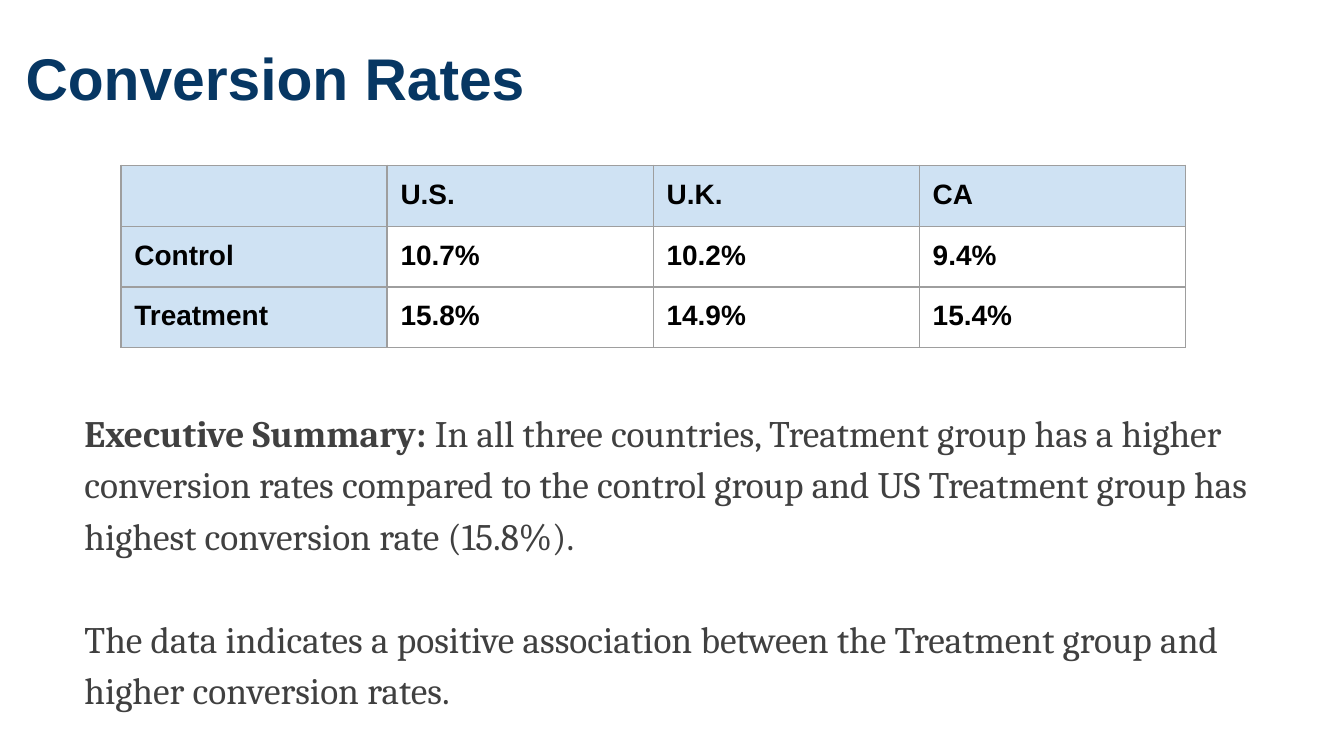
from lxml.etree import SubElement
from pptx import Presentation
from pptx.dml.color import RGBColor
from pptx.enum.text import MSO_ANCHOR, MSO_AUTO_SIZE, PP_ALIGN
from pptx.oxml.ns import qn
from pptx.util import Inches, Pt

TITLE = "Conversion Rates"
RATES = [
    ("", "U.S.", "U.K.", "CA"),
    ("Control", "10.7%", "10.2%", "9.4%"),
    ("Treatment", "15.8%", "14.9%", "15.4%"),
]
SUMMARY = [  # paragraphs of (text, bold) runs
    [("Executive Summary: ", True),
     ("In all three countries, Treatment group has a higher conversion rates "
      "compared to the control group and US Treatment group has highest "
      "conversion rate (15.8%).", False)],
    [("The data indicates a positive association between the Treatment group "
      "and higher conversion rates.", False)],
]

THEME = {
    "title": {"font": "Arial", "size": 31.5, "color": "073763"},
    "table": {"font": "Arial", "size": 15, "color": "000000"},
    "body": {"font": "Cambria", "size": 20, "color": "404040"},
    "header_fill": "CFE2F3",
    "cell_fill": "FFFFFF",
    "border": "9E9E9E",
    "border_width": 0.75,
    "paragraph_gap": 27.6,
}
SLIDE_W = 10
SLIDE_H = SLIDE_W * 9 / 16
PAD = Inches(0.1)
COL_W, ROW_H = 1.98, 0.45


def style_run(r, role, bold=True):
    style = THEME[role]
    r.font.name = style["font"]
    r.font.size = Pt(style["size"])
    r.font.bold = bold
    r.font.color.rgb = RGBColor.from_string(style["color"])


def set_margins(box):
    box.margin_left = box.margin_right = PAD
    box.margin_top = box.margin_bottom = PAD


def set_frame(tf):
    tf.word_wrap = True
    tf.auto_size = MSO_AUTO_SIZE.NONE
    tf.vertical_anchor = MSO_ANCHOR.TOP
    set_margins(tf)


def set_borders(cell):
    tcPr = cell._tc.get_or_add_tcPr()
    for index, side in enumerate(("a:lnL", "a:lnR", "a:lnT", "a:lnB")):
        ln = SubElement(tcPr, qn(side), w=str(Pt(THEME["border_width"])))
        fill = SubElement(ln, qn("a:solidFill"))
        SubElement(fill, qn("a:srgbClr"), val=THEME["border"])
        tcPr.insert(index, ln)  # borders come before the cell fill


def add_title(slide):
    sp = slide.shapes.title
    sp.left, sp.top = Inches(0.09), Inches(0.21)
    sp.width, sp.height = Inches(10), Inches(0.73)
    tf = sp.text_frame
    tf.text = TITLE
    set_frame(tf)
    p = tf.paragraphs[0]
    p.alignment = PP_ALIGN.LEFT
    style_run(p.runs[0], "title")


def add_rates(slide):
    n_rows, n_cols = len(RATES), len(RATES[0])
    table = slide.shapes.add_table(
        n_rows, n_cols, Inches(0.9), Inches(1.23),
        Inches(COL_W * n_cols), Inches(ROW_H * n_rows)).table
    for i, row in enumerate(RATES):
        for j, text in enumerate(row):
            cell = table.cell(i, j)
            set_margins(cell)
            is_header = i == 0 or j == 0
            cell.fill.solid()
            cell.fill.fore_color.rgb = RGBColor.from_string(
                THEME["header_fill" if is_header else "cell_fill"])
            set_borders(cell)
            p = cell.text_frame.paragraphs[0]
            if text:
                p.text = text
                style_run(p.runs[0], "table")
            else:  # keep the empty cell from stretching its row
                end = p._p.get_or_add_endParaRPr()
                end.set("sz", str(THEME["table"]["size"] * 100))


def add_summary(slide):
    tf = slide.shapes.add_textbox(
        Inches(0.53), Inches(2.9), Inches(8.98), Inches(2.52)).text_frame
    set_frame(tf)
    for i, runs in enumerate(SUMMARY):
        p = tf.add_paragraph() if i else tf.paragraphs[0]
        p.line_spacing = 1.15
        if i:
            p.space_before = Pt(THEME["paragraph_gap"])
        for text, bold in runs:
            r = p.add_run()
            r.text = text
            style_run(r, "body", bold)


def main():
    prs = Presentation()
    prs.slide_width, prs.slide_height = Inches(SLIDE_W), Inches(SLIDE_H)
    slide = prs.slides.add_slide(prs.slide_layouts.get_by_name("Title Only"))
    add_title(slide)
    add_rates(slide)
    add_summary(slide)
    prs.save("out.pptx")


if __name__ == "__main__":
    main()
